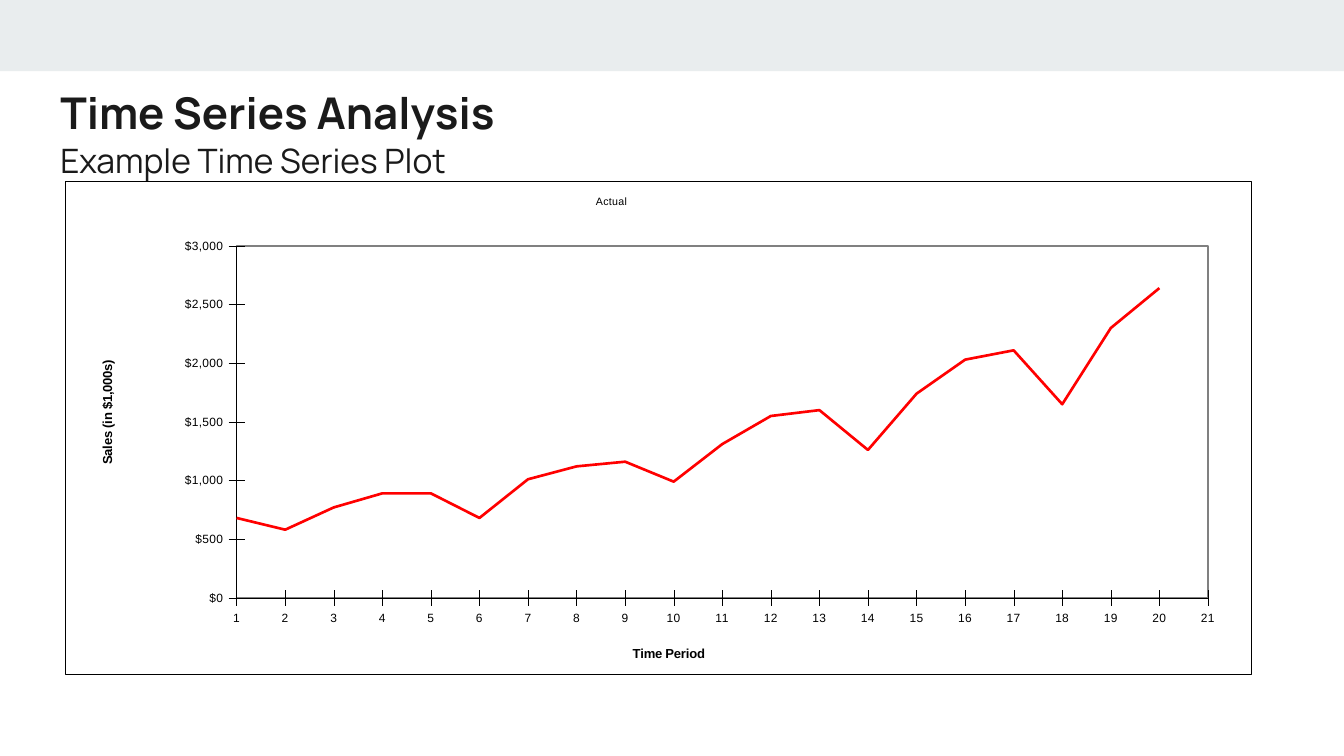
from lxml import etree
from pptx import Presentation
from pptx.chart.data import XyChartData
from pptx.dml.color import RGBColor
from pptx.enum.chart import XL_CHART_TYPE as ChartType, XL_TICK_MARK as TickMark
from pptx.enum.shapes import MSO_SHAPE as Shape
from pptx.enum.text import MSO_ANCHOR as Anchor, PP_ALIGN as Align
from pptx.oxml import parse_xml
from pptx.oxml.ns import nsdecls, qn
from pptx.util import Inches, Pt

BAND = RGBColor(0xE9, 0xED, 0xEE)
INK = RGBColor(0x1A, 0x1A, 0x1A)
BLACK = RGBColor(0, 0, 0)
WHITE = RGBColor(0xFF, 0xFF, 0xFF)
GREY = RGBColor(0x80, 0x80, 0x80)
RED = RGBColor(0xFF, 0, 0)

HEADING_FONT = "Manrope"
CHART_FONT = "Arial"
HAIRLINE = 0.18

SALES = [680, 580, 770, 890, 890, 680, 1010, 1120, 1160, 990,
         1310, 1550, 1600, 1260, 1740, 2030, 2110, 1650, 2300, 2640]


def set_font(font, name, size, color, bold=False):
    font.name = name
    font.size = Pt(size)
    font.bold = bold
    font.color.rgb = color


def add_band(slide, left, top, width, height):
    band = slide.shapes.add_shape(Shape.RECTANGLE, Inches(left), Inches(top),
                                  Inches(width), Inches(height))
    band.shadow.inherit = False
    band.fill.solid()
    band.fill.fore_color.rgb = BAND
    band.line.fill.background()


def write_heading(holder, text, size, bold, anchor):
    frame = holder.text_frame
    frame.word_wrap = True
    frame.vertical_anchor = anchor
    frame.margin_left = frame.margin_right = Inches(0.1)
    frame.margin_top = frame.margin_bottom = Inches(0.1)
    paragraph = frame.paragraphs[0]
    paragraph.text = text
    paragraph.alignment = Align.LEFT
    set_font(paragraph.font, HEADING_FONT, size, INK, bold)


def add_headings(slide, left, top):
    title = slide.shapes.title
    title.left, title.top = Inches(left), Inches(top)
    title.width, title.height = Inches(8.41), Inches(0.59)
    write_heading(title, "Time Series Analysis", 23.4, True, Anchor.MIDDLE)
    subtitle = slide.shapes.add_textbox(Inches(left), Inches(top + 0.4),
                                        Inches(3.48), Inches(0.59))
    write_heading(subtitle, "Example Time Series Plot", 18, False, Anchor.TOP)


def set_layout(parent, index, chart_size, position, inner_size=None):
    """Place a chart part, given in inches, as fractions of the chart."""
    for old in parent.findall(qn("c:layout")):
        parent.remove(old)
    layout = parse_xml(f"<c:layout {nsdecls('c')}><c:manualLayout/></c:layout>")
    x, y = (part / whole for part, whole in zip(position, chart_size))
    entries = [("xMode", "edge"), ("yMode", "edge"), ("x", x), ("y", y)]
    if inner_size:
        w, h = (part / whole for part, whole in zip(inner_size, chart_size))
        entries = [("layoutTarget", "inner"), *entries, ("w", w), ("h", h)]
    for tag, value in entries:
        etree.SubElement(layout[0], qn(f"c:{tag}"), val=str(value))
    parent.insert(index, layout)


def box_style(line_color, line_width):
    return parse_xml(
        f"<c:spPr {nsdecls('c', 'a')}>"
        f'<a:solidFill><a:srgbClr val="{WHITE}"/></a:solidFill>'
        f'<a:ln w="{Pt(line_width)}"><a:solidFill><a:srgbClr val="{line_color}"/>'
        "</a:solidFill></a:ln></c:spPr>")


def write_chart_title(title, text, size, bold, chart_size, position):
    """Write and place the title of a chart or an axis."""
    paragraph = title.text_frame.paragraphs[0]
    paragraph.text = text
    set_font(paragraph.font, CHART_FONT, size, BLACK, bold)
    element = title.text_frame._txBody.getparent().getparent()
    set_layout(element, 1, chart_size, position)


def format_axis(axis, low, high, step, number_format):
    axis.minimum_scale, axis.maximum_scale, axis.major_unit = low, high, step
    axis.has_major_gridlines = False
    axis.major_tick_mark = TickMark.CROSS
    axis.minor_tick_mark = TickMark.NONE
    axis.format.line.color.rgb = BLACK
    axis.format.line.width = Pt(HAIRLINE)
    labels = axis.tick_labels
    labels.number_format = number_format
    labels.number_format_is_linked = False
    set_font(labels.font, CHART_FONT, 6.4, BLACK)


def add_sales_chart(slide, left, top, width, height):
    data = XyChartData()
    points = data.add_series("ActualSales")
    for period, sales in enumerate(SALES, start=1):
        points.add_data_point(period, sales)
    chart = slide.shapes.add_chart(
        ChartType.XY_SCATTER_LINES_NO_MARKERS, Inches(left), Inches(top),
        Inches(width), Inches(height), data).chart
    chart.has_legend = False
    set_font(chart.font, CHART_FONT, 5.7, BLACK)

    size = (width, height)
    periods, amounts = chart.category_axis, chart.value_axis
    format_axis(periods, 1, 21, 1, "General")
    format_axis(amounts, 0, 3000, 500, '"$"#,##0')
    write_chart_title(chart.chart_title, "Actual", 5.7, False, size, (3.94, 0.08))
    write_chart_title(periods.axis_title, "Time Period", 7, True, size, (4.21, 3.44))
    write_chart_title(amounts.axis_title, "Sales (in $1,000s)", 7, True,
                      size, (0.24, 1.31))

    plot = chart.plots[0]
    plot.vary_by_categories = False
    sales_line = plot.series[0]
    sales_line.smooth = False
    sales_line.format.line.color.rgb = RED
    sales_line.format.line.width = Pt(1.41)

    chart_part = chart._chartSpace.find(qn("c:chart"))
    chart_part.addnext(box_style(BLACK, HAIRLINE))
    plot_area = chart_part.find(qn("c:plotArea"))
    set_layout(plot_area, 0, size, (1.28, 0.48), (7.23, 2.62))
    plot_area.append(box_style(GREY, 0.7))


def main():
    deck = Presentation()
    deck.slide_width = Inches(10)
    deck.slide_height = deck.slide_width * 9 // 16
    slide = deck.slides.add_slide(deck.slide_layouts[5])
    add_band(slide, 0, 0, 10, 0.53)
    add_headings(slide, 0.35, 0.54)
    add_sales_chart(slide, 0.48, 1.35, 8.83, 3.67)
    deck.save("out.pptx")


if __name__ == "__main__":
    main()
